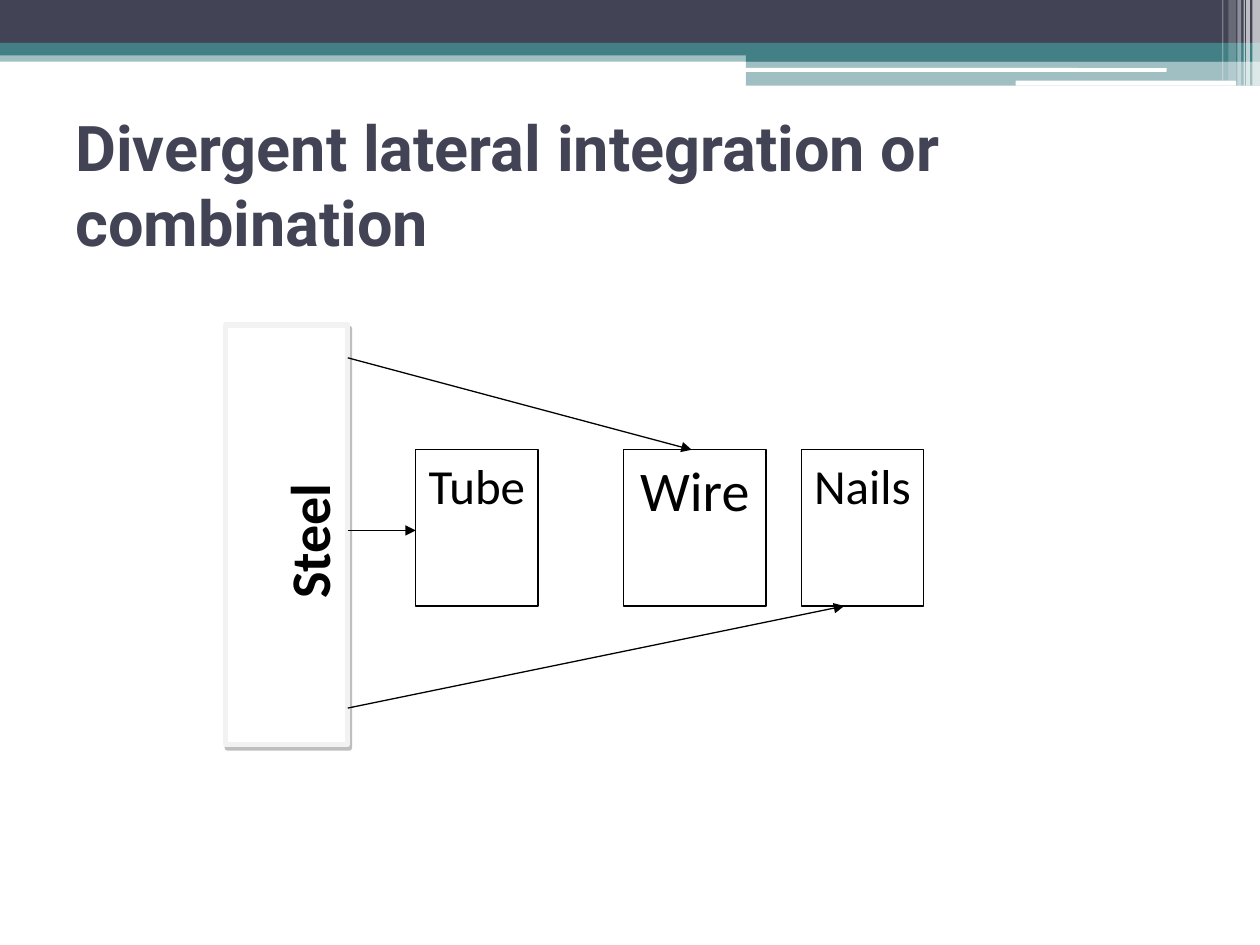
from dataclasses import dataclass

from lxml import etree
from pptx import Presentation, util as u
from pptx.dml.color import RGBColor
from pptx.enum import shapes, text
from pptx.oxml import ns

COLUMNS, ROWS = 100, 75


@dataclass(frozen=True)
class Theme:
    ink: str = "424456"
    teal: str = "438086"
    white: str = "FFFFFF"
    black: str = "000000"
    frame: str = "F2F2F2"
    shade: str = "7F7F7F"
    title_font: str = "Roboto"
    body_font: str = "Calibri"
    title_size: float = 36
    large_size: float = 32
    label_size: float = 28
    thin: float = 0.75
    thick: float = 3


def add_element(parent, tag, **attributes):
    return etree.SubElement(parent, ns.qn(tag), attributes)


class Canvas:
    """Draws on one slide; positions are in grid columns and rows."""

    def __init__(self, deck, theme):
        self.theme = theme
        self.slide = deck.slides.add_slide(deck.slide_layouts[6])
        self.column = deck.slide_width / COLUMNS
        self.row = deck.slide_height / ROWS

    def place(self, left, top, width, height):
        return (round(left * self.column), round(top * self.row),
                round(width * self.column), round(height * self.row))

    def add_words(self, frame, words, font, size, color, bold=False):
        frame.word_wrap = True
        run = frame.paragraphs[0].add_run()
        run.text = words
        run.font.name, run.font.size, run.font.bold = font, u.Pt(size), bold
        run.font.color.rgb = RGBColor.from_string(color)

    def bar(self, area, color, opacity=100, rounded=False):
        kind = shapes.MSO_SHAPE.ROUNDED_RECTANGLE if rounded else shapes.MSO_SHAPE.RECTANGLE
        bar = self.slide.shapes.add_shape(kind, *self.place(*area))
        bar.shadow.inherit = False
        bar.fill.solid()
        bar.fill.fore_color.rgb = RGBColor.from_string(color)
        bar.line.fill.background()
        if opacity < 100:
            tint = bar._element.spPr.find(".//" + ns.qn("a:srgbClr"))
            add_element(tint, "a:alpha", val=str(opacity * 1000))
        return bar

    def title(self, words, area):
        heading = self.slide.shapes.add_textbox(*self.place(*area)).text_frame
        heading.vertical_anchor = text.MSO_ANCHOR.MIDDLE
        self.add_words(heading, words, self.theme.title_font, self.theme.title_size,
                       self.theme.ink, bold=True)

    def box(self, words, area, size, border, weight, bold=False):
        box = self.bar(area, self.theme.white)
        box.line.color.rgb = RGBColor.from_string(border)
        box.line.width = u.Pt(weight)
        frame = box.text_frame
        frame.vertical_anchor = text.MSO_ANCHOR.TOP
        frame.margin_left = frame.margin_right = u.Inches(0.05)
        self.add_words(frame, words, self.theme.body_font, size, self.theme.black, bold)
        frame.paragraphs[0].alignment = text.PP_ALIGN.CENTER
        return box

    def source_box(self, words, area):
        """Shadowed box whose label reads upwards along its right edge."""
        box = self.box(words, area, self.theme.large_size, self.theme.frame,
                       self.theme.thick, bold=True)
        box.text_frame.vertical_anchor = text.MSO_ANCHOR.BOTTOM
        box.text_frame.margin_bottom = 0
        box._element.txBody.find(ns.qn("a:bodyPr")).set("vert", "vert270")
        effects = box._element.spPr.find(ns.qn("a:effectLst"))
        shadow = add_element(effects, "a:outerShdw", blurRad="0", dist=str(int(u.Pt(2.2))),
                             dir=str(63 * 60000), algn="ctr", rotWithShape="0")
        tint = add_element(shadow, "a:srgbClr", val=self.theme.shade)
        add_element(tint, "a:alpha", val="50000")

    def arrow(self, start, end):
        arrow = self.slide.shapes.add_connector(
            shapes.MSO_CONNECTOR.STRAIGHT, *self.place(*start, *end))
        arrow.line.color.rgb = RGBColor.from_string(self.theme.black)
        arrow.line.width = u.Pt(self.theme.thin)
        properties = arrow._element.spPr
        add_element(properties.find(ns.qn("a:ln")), "a:tailEnd", type="triangle")
        add_element(properties, "a:effectLst")


def draw_header(canvas):
    theme = canvas.theme
    canvas.bar((0, 4, 100, 0.9), theme.teal, 50)
    canvas.bar((0, 0, 100, 3.4), theme.ink)
    canvas.bar((0, 3.4, 100, 1), theme.teal)
    canvas.bar((59.2, 3.9, 40.8, 1), theme.teal)
    canvas.bar((59.2, 4.8, 40.8, 2), theme.teal, 50)
    canvas.bar((59.1, 5.4, 33.5, 0.3), theme.white, rounded=True)
    canvas.bar((80.6, 6.4, 17.5, 0.4), theme.white, rounded=True)
    stripes = [(99.4, 0.6, 6.8, 65), (98.9, 0.3, 6.8, 65), (98.7, 0.1, 6.8, 60),
               (98.2, 0.3, 6.8, 40), (97.5, 0.6, 6.4, 20), (97, 0.1, 6.4, 30)]
    for left, width, height, opacity in stripes:
        canvas.bar((left, 0, width, height), theme.white, opacity)


def draw_diagram(canvas):
    theme = canvas.theme
    steel_left, box_width = 17.9, 9.7
    steel_right = steel_left + box_width
    product_top, product_height = 35.7, 12.4
    product_bottom = product_top + product_height
    tube_left = 33

    canvas.source_box("Steel", (steel_left, 25.8, box_width, 33.3))
    products = [("Tube", tube_left, box_width, theme.label_size),
                ("Wire", 49.5, 11.3, theme.large_size),
                ("Nails", 63.6, box_width, theme.label_size)]
    for product, left, width, size in products:
        canvas.box(product, (left, product_top, width, product_height), size,
                   theme.black, theme.thin)

    flows = [(56.2, (67, product_bottom)), (28.4, (54.9, product_top)),
             (42.1, (tube_left, 42.1))]
    for start_row, end in flows:
        canvas.arrow((steel_right, start_row), end)


def main():
    deck = Presentation()
    deck.slide_width, deck.slide_height = u.Inches(10), u.Inches(7.5)
    canvas = Canvas(deck, Theme())
    draw_header(canvas)
    canvas.title("Divergent lateral integration or combination", (5, 10, 90, 9.2))
    draw_diagram(canvas)
    deck.save("out.pptx")


if __name__ == "__main__":
    main()
